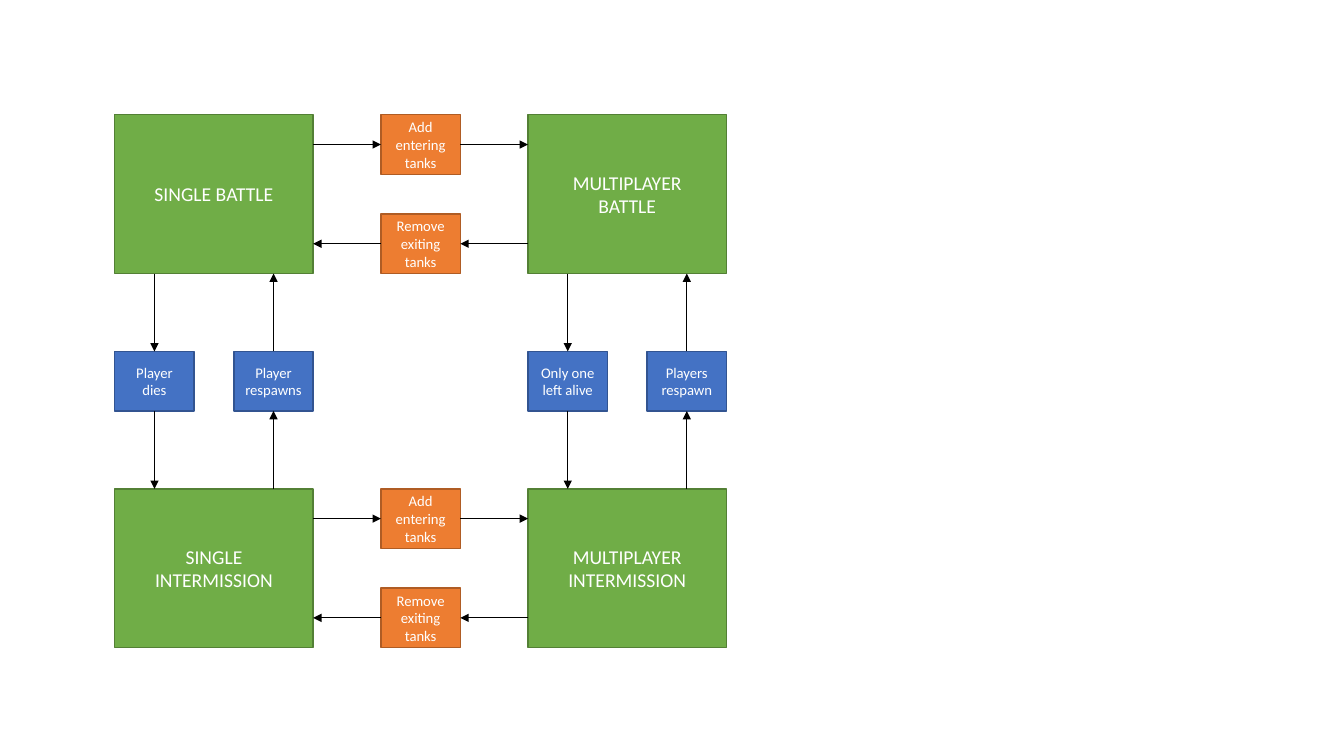
from pptx import Presentation
from pptx.dml.color import RGBColor as RGB
from pptx.enum.shapes import MSO_CONNECTOR as LINE, MSO_SHAPE as SHAPE
from pptx.enum.text import MSO_ANCHOR as ANCHOR, PP_ALIGN as ALIGN
from pptx.oxml.ns import qn
from pptx.util import Pt
from lxml.etree import SubElement as sub

WHITE, BLACK = RGB(255, 255, 255), RGB(0, 0, 0)
GREEN, FOREST = RGB(0x70, 0xAD, 0x47), RGB(0x53, 0x80, 0x35)
ORANGE, RUST = RGB(0xED, 0x7D, 0x31), RGB(0xAF, 0x5C, 0x24)
BLUE, NAVY = RGB(0x44, 0x72, 0xC4), RGB(0x32, 0x54, 0x91)

# Content: game states by row, then the steps between them
STATES = [
    ["SINGLE BATTLE", "MULTIPLAYER\nBATTLE"],
    ["SINGLE INTERMISSION", "MULTIPLAYER\nINTERMISSION"],
]
ENTER, EXIT = "Add entering tanks", "Remove exiting tanks"
TURNS = [("Player dies", "Player respawns"),
         ("Only one left alive", "Players respawn")]

# Layout in points: states on a 2 x 2 grid, steps centred in the gaps
BIG_W, BIG_H = 141.73, 113.39
STEP_W, STEP_H = 56.69, 42.52
COLS, ROWS = (82, 377.2), (82, 349.2)
MID_X = (COLS[0] + BIG_W + COLS[1] - STEP_W) / 2
MID_Y = (ROWS[0] + BIG_H + ROWS[1] - STEP_H) / 2

deck = Presentation()
deck.slide_width, deck.slide_height = Pt(960), Pt(540)
slide = deck.slides.add_slide(deck.slide_layouts[6])


def box(text, x, y, w=STEP_W, h=STEP_H, fill=BLUE, edge=NAVY, size=10.5):
    shape = slide.shapes.add_shape(SHAPE.RECTANGLE, Pt(x), Pt(y), Pt(w), Pt(h))
    shape.shadow.inherit = False
    shape.fill.solid()
    shape.fill.fore_color.rgb = fill
    shape.line.color.rgb = edge
    shape.line.width = Pt(1)
    frame = shape.text_frame
    frame.word_wrap = True
    frame.vertical_anchor = ANCHOR.MIDDLE
    frame.text = text
    for para in frame.paragraphs:
        para.alignment = ALIGN.CENTER
        font = para.runs[0].font
        font.name, font.size = "Calibri", Pt(size)
        font.color.rgb = WHITE


def arrow(start, end):
    line = slide.shapes.add_connector(
        LINE.STRAIGHT, *(Pt(v) for v in (*start, *end)))
    line.line.color.rgb = BLACK
    line.line.width = Pt(0.5)
    sub(line.line._get_or_add_ln(), qn("a:tailEnd"), type="triangle")
    sub(line._element.spPr, qn("a:effectLst"))


def chain(points, back):
    """Draw two arrows, into and out of a step, along four points."""
    if back:
        points = points[::-1]
    arrow(*points[:2])
    arrow(*points[2:])


# States
for y, names in zip(ROWS, STATES):
    for x, name in zip(COLS, names):
        box(name, x, y, BIG_W, BIG_H, GREEN, FOREST, 14)

# Steps across each row: players enter to the right, leave to the left
stops = (COLS[0] + BIG_W, MID_X, MID_X + STEP_W, COLS[1])
for top in ROWS:
    for y, text in ((top, ENTER), (top + BIG_H - STEP_H, EXIT)):
        box(text, MID_X, y, fill=ORANGE, edge=RUST)
        chain([(x, y + STEP_H / 2) for x in stops], text == EXIT)

# Steps down each column: battle ends downwards, resumes upwards
stops = (ROWS[0] + BIG_H, MID_Y, MID_Y + STEP_H, ROWS[1])
for left, (end, resume) in zip(COLS, TURNS):
    for x, text in ((left, end), (left + BIG_W - STEP_W, resume)):
        box(text, x, MID_Y)
        chain([(x + STEP_W / 2, y) for y in stops], text == resume)

deck.save("out.pptx")
